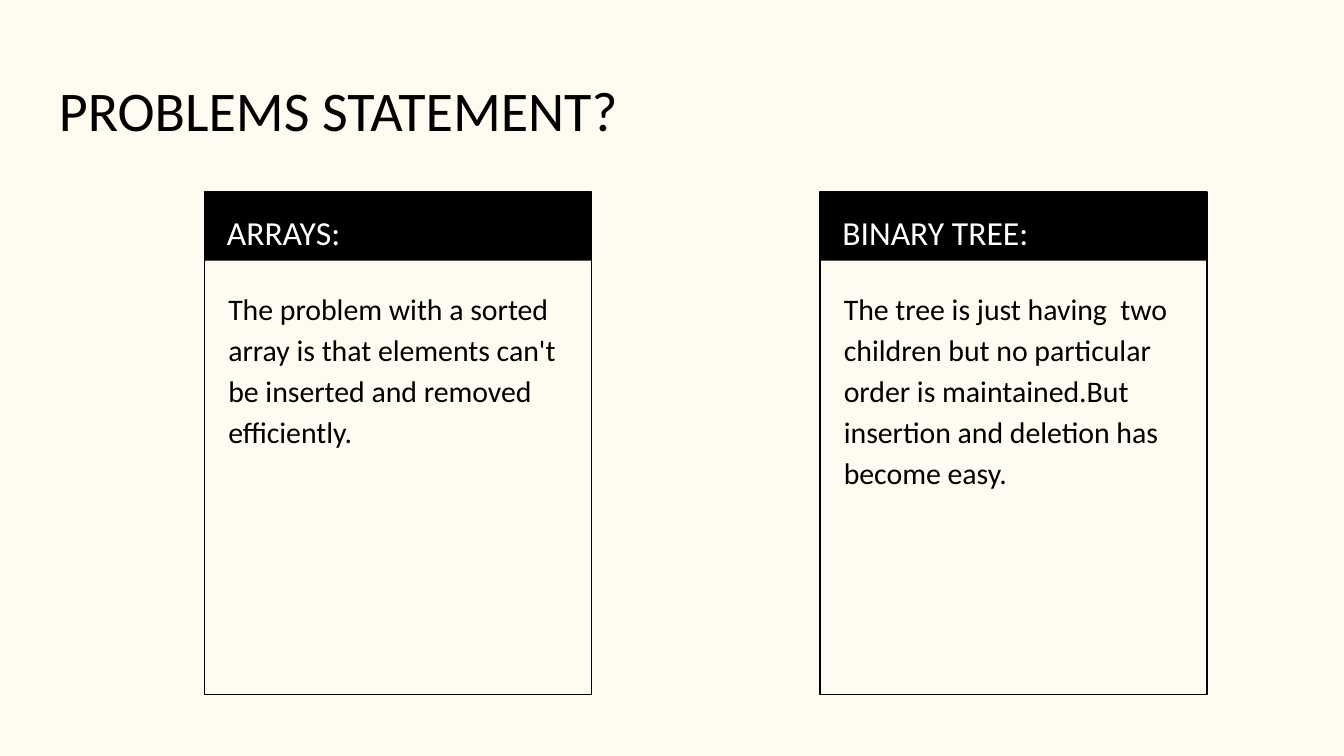
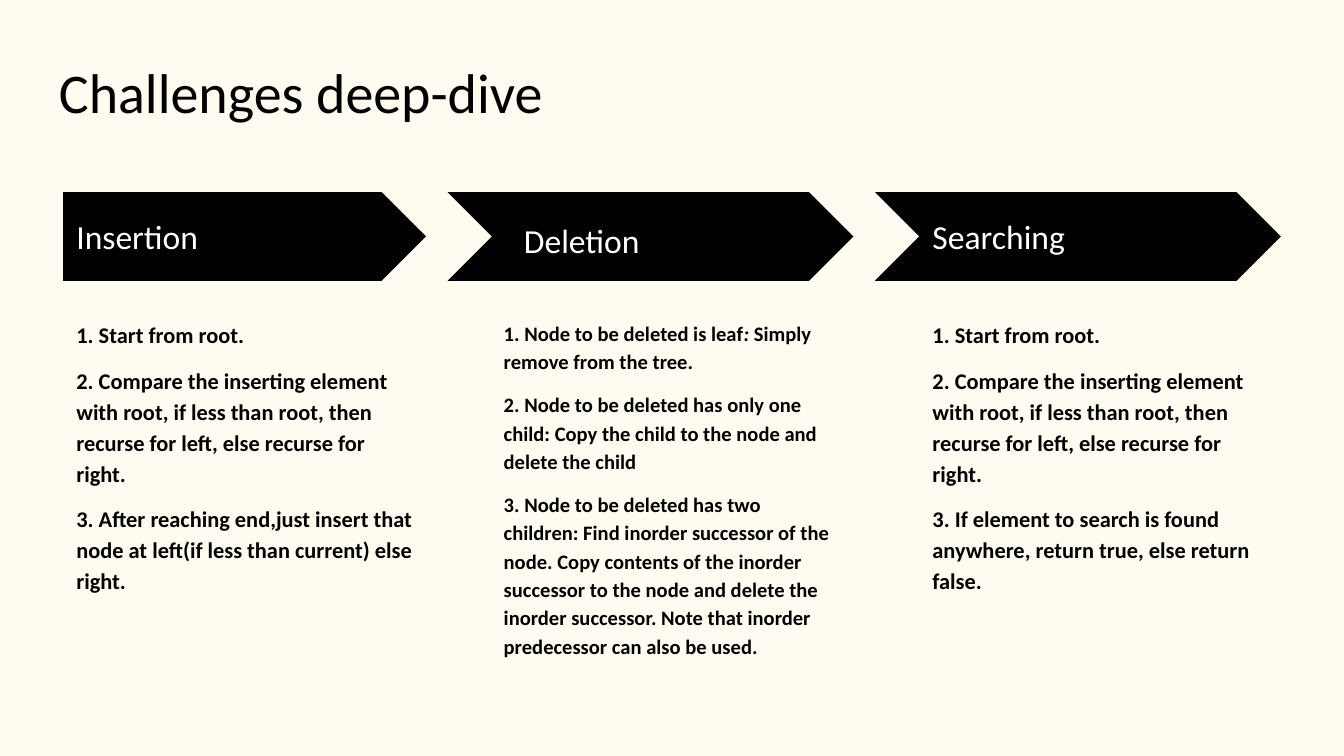
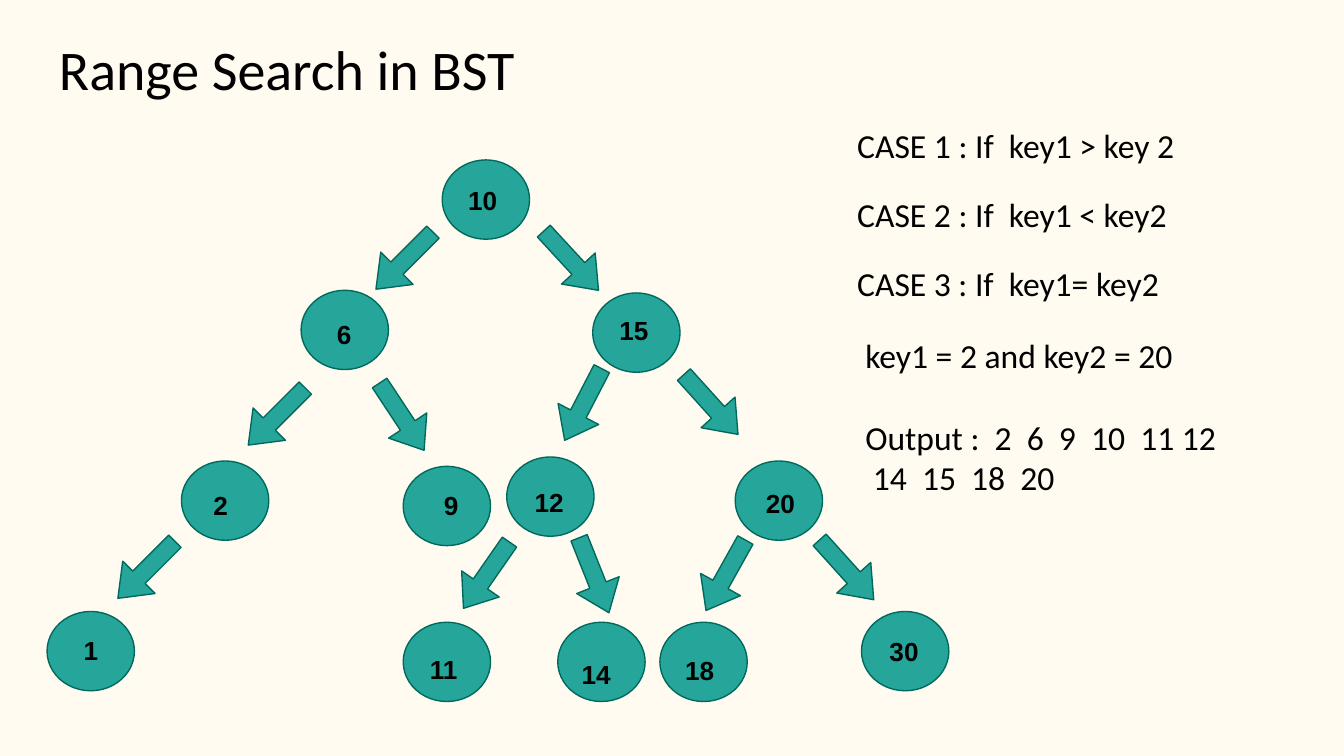
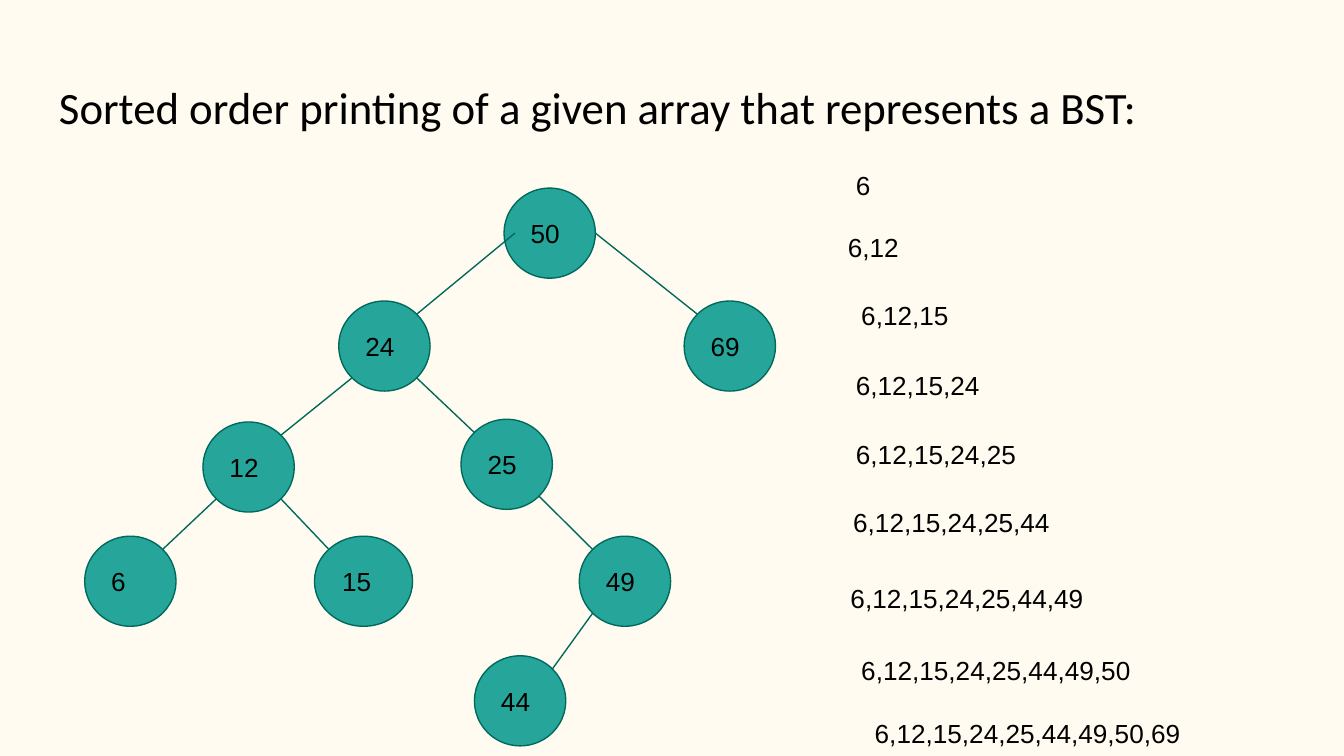
from pptx import Presentation
from pptx.dml.color import RGBColor
from pptx.enum.shapes import MSO_CONNECTOR as Connector, MSO_SHAPE as Preset
from pptx.enum.text import MSO_ANCHOR as Anchor, PP_ALIGN as Align
from pptx.oxml.ns import qn
from pptx.util import Inches, Pt
from lxml.etree import SubElement

SLIDE_WIDTH = Inches(10)
SLIDE_HEIGHT = SLIDE_WIDTH * 9 // 16

CREAM = RGBColor(0xFF, 0xFB, 0xF0)
BLACK = RGBColor(0x00, 0x00, 0x00)
WHITE = RGBColor(0xFF, 0xFF, 0xFF)
TEAL = RGBColor(0x26, 0xA6, 0x9A)
DARK_TEAL = RGBColor(0x00, 0x69, 0x5C)

LABEL = {"name": "Calibri", "size": Pt(18)}
CARD_BODY = {"name": "Calibri", "size": Pt(16)}
NUMBER = {"name": "Arial", "size": Pt(14)}
BOLD_NUMBER = {**NUMBER, "bold": True}
RELAXED = {"line_spacing": 1.15}
CENTERED = {"alignment": Align.CENTER}


def set_attributes(target, values):
    for name, value in values.items():
        setattr(target, name, value)


def write_text(frame, paragraphs, font, color=BLACK, spacing=None, anchor=Anchor.TOP):
    set_attributes(frame, {"word_wrap": True, "vertical_anchor": anchor})
    for side in ("left", "top", "right", "bottom"):
        setattr(frame, f"margin_{side}", Inches(0.1))
    for index, content in enumerate(paragraphs):
        paragraph = frame.add_paragraph() if index else frame.paragraphs[0]
        set_attributes(paragraph, {"alignment": Align.LEFT, **(spacing or {})})
        if index and spacing:
            paragraph.space_before = Pt(8)
        pieces = [(content, {})] if isinstance(content, str) else content
        for words, extra in pieces:
            for line_number, line in enumerate(words.split("\v")):
                if line_number:
                    paragraph.add_line_break()
                run = paragraph.add_run()
                run.text = line
                set_attributes(run.font, {**font, **extra})
                run.font.color.rgb = color


def add_text(slide, box, paragraphs, font, **options):
    text_box = slide.shapes.add_textbox(*map(Inches, box))
    write_text(text_box.text_frame, paragraphs, font, **options)


def add_shape(shapes, preset, box, fill=None, line=None):
    shape = shapes.add_shape(preset, *map(Inches, box))
    shape.shadow.inherit = False
    if fill is None:
        shape.fill.background()
    else:
        shape.fill.solid()
        shape.fill.fore_color.rgb = fill
    if line is None:
        shape.line.fill.background()
    else:
        shape.line.color.rgb = line
        shape.line.width = Pt(0.75)
    return shape


def add_titled_slide(presentation, title, top, size=30):
    slide = presentation.slides.add_slide(presentation.slide_layouts[6])
    add_text(slide, (0.34, top, 9.32, 0.67), [title], {"name": "Calibri", "size": Pt(size)})
    return slide


def add_card(slide, left, top, heading, body):
    width, height = 2.88, 3.74
    card = slide.shapes.add_group_shape()
    add_shape(card.shapes, Preset.RECTANGLE, (left, top, width, height), line=BLACK)
    add_shape(card.shapes, Preset.RECTANGLE, (left, top, width, 0.51), fill=BLACK)
    add_text(slide, (left + 0.07, top, 2.73, 0.5), [heading], LABEL, color=WHITE, spacing=RELAXED)
    add_text(slide, (left + 0.08, top + 0.59, 2.71, 3.06), [body], CARD_BODY,
             spacing={**RELAXED, "space_after": Pt(16)})


def build_problems(presentation):
    slide = add_titled_slide(presentation, "PROBLEMS STATEMENT?", 0.46)
    add_card(slide, 1.52, 1.43, "ARRAYS:",
             "The problem with a sorted array is that elements can't be inserted "
             "and removed efficiently.")
    add_card(slide, 6.1, 1.43, "BINARY TREE:",
             "The tree is just having  two children but no particular order is "
             "maintained.But insertion and deletion has become easy.")


def add_step(slide, preset, arrow_left, text_left, steps, size):
    top, text_width = 1.43, 2.7
    arrow_width = text_width if preset == Preset.PENTAGON else 3.02
    add_shape(slide.shapes, preset, (arrow_left, top, arrow_width, 0.66), fill=BLACK)
    add_text(slide, (text_left, top + 0.83, text_width, 2.9), steps,
             {"name": "Calibri", "size": Pt(size), "bold": True}, spacing=RELAXED)


def build_challenges(presentation):
    slide = add_titled_slide(presentation, "Challenges deep-dive", 0.33)
    start = "1. Start from root."
    compare = ("2. Compare the inserting element with root, if less than root, then "
               "recurse for left, else recurse for right.")
    insertion = [start, compare, "3. After reaching end,just insert that node at left"
                 "(if less than current) else right."]
    deletion = [
        [("1. Node to be deleted is leaf", {}), (":", {"italic": True}),
         (" Simply remove from the tree.", {})],
        "2. Node to be deleted has only one child: Copy the child to the node and "
        "delete the child",
        "3. Node to be deleted has two children: Find inorder successor of the node. "
        "Copy contents of the inorder successor to the node and delete the inorder "
        "successor. Note that inorder predecessor can also be used.",
    ]
    searching = [start, compare, "3. If element to search is found anywhere, return true, "
                 "else return false."]
    add_step(slide, Preset.PENTAGON, 0.47, 0.47, insertion, 12)
    add_step(slide, Preset.CHEVRON, 3.33, 3.65, deletion, 11)
    add_step(slide, Preset.CHEVRON, 6.51, 6.84, searching, 12)
    for left, top, width, heading, anchor in (
        (0.47, 1.59, 2.47, "Insertion", Anchor.MIDDLE),
        (6.84, 1.59, 2.47, "Searching", Anchor.MIDDLE),
        (3.8, 1.54, 2.08, "Deletion", Anchor.TOP),
    ):
        add_text(slide, (left, top, width, 0.34), [heading], LABEL, color=WHITE, anchor=anchor)


def add_node(slide, box, number=None, font=NUMBER):
    node = add_shape(slide.shapes, Preset.OVAL, box, TEAL, DARK_TEAL)
    if number:
        write_text(node.text_frame, [number], font, anchor=Anchor.MIDDLE)


def add_block_arrow(slide, left, top, rotation):
    arrow = add_shape(slide.shapes, Preset.LEFT_ARROW, (left, top, 0.6, 0.34), TEAL, DARK_TEAL)
    arrow.rotation = rotation
    arrow.adjustments[0] = 0.38
    arrow.adjustments[1] = 0.65


def add_range_tree(slide):
    node_size = (0.65, 0.59)
    add_node(slide, (3.29, 1.19, *node_size), "10", BOLD_NUMBER)
    for position in (
        (2.24, 2.16), (4.41, 2.18), (1.35, 3.43), (0.35, 4.55), (3, 3.47), (3.77, 3.4),
        (6.41, 4.55), (4.91, 4.63), (4.15, 4.63), (3, 4.63), (5.47, 3.43),
    ):
        add_node(slide, (*position, *node_size))
    for left, top, rotation in (
        (2.71, 1.77, 315), (3.95, 1.77, 227.3), (1.76, 2.93, 315), (2.69, 2.93, 236.6),
        (4.04, 2.84, 297.4), (4.99, 2.84, 227.9), (0.79, 4.07, 315), (3.32, 4.11, 304.8),
        (4.12, 4.11, 248.3), (5.1, 4.11, 299.2), (6, 4.07, 227.9),
    ):
        add_block_arrow(slide, left, top, rotation)
    for number, box, spacing in (
        ("6", (2.27, 2.27, 0.58, 0.4), CENTERED),
        ("15", (4.51, 2.24, 0.44, 0.44), None),
        ("2", (1.49, 3.54, 0.37, 0.4), None),
        (" 1", (0.47, 4.62, 0.44, 0.4), None),
        (" 9", (3.06, 3.54, 0.54, 0.44), CENTERED),
        ("20", (5.6, 3.53, 0.44, 0.44), None),
        ("30", (6.52, 4.63, 0.44, 0.51), None),
        ("12", (3.88, 3.52, 0.54, 0.4), None),
        ("11", (3.1, 4.76, 0.44, 0.26), None),
        ("14", (4.23, 4.8, 0.54, 0.4), None),
        ("18", (5, 4.77, 0.44, 0.4), None),
    ):
        add_text(slide, box, [number], BOLD_NUMBER, spacing=spacing)


def build_range_search(presentation):
    slide = add_titled_slide(presentation, "Range Search in BST", 0.16)
    add_range_tree(slide)
    for words, box in (
        ("CASE 1 : If  key1 > key 2", (6.28, 0.83, 3.21, 0.51)),
        ("CASE 2 : If  key1 < key2", (6.28, 1.34, 3.21, 0.51)),
        ("CASE 3 : If  key1= key2", (6.28, 1.86, 3.1, 0.44)),
        ("key1 = 2 and key2 = 20", (6.34, 2.39, 3.1, 0.51)),
        ("Output :  2  6  9  10  11 12\v 14  15  18  20", (6.34, 3, 3.32, 0.9)),
    ):
        add_text(slide, box, [words], LABEL)


def add_branch(slide, start, end):
    branch = slide.shapes.add_connector(Connector.STRAIGHT, *map(Inches, (*start, *end)))
    branch.line.color.rgb = DARK_TEAL
    branch.line.width = Pt(0.75)
    SubElement(branch._element.spPr, qn("a:effectLst"))


def add_sorted_tree(slide):
    nodes = {
        "6": (0.63, 3.99, 0.68, 0.67), "12": (1.51, 3.14, 0.68, 0.67),
        "25": (3.43, 3.12, 0.68, 0.67), "49": (4.31, 3.99, 0.68, 0.67),
        "44": (3.53, 4.88, 0.68, 0.67), "69": (5.09, 2.24, 0.68, 0.67),
        "50": (3.75, 1.4, 0.68, 0.67), "24": (2.52, 2.24, 0.68, 0.67),
        "15": (2.34, 3.99, 0.73, 0.67),
    }
    near, far = 0.15, 0.85
    top_left, top_right = (near, near), (far, near)
    bottom_left, bottom_right = (near, far), (far, far)

    def point_on(number, fraction):
        left, top, width, height = nodes[number]
        return left + width * fraction[0], top + height * fraction[1]

    for number, box in nodes.items():
        add_node(slide, box, number)
    for parent, leaving, child, arriving in (
        ("12", bottom_left, "6", top_right),
        ("24", bottom_left, "12", top_right),
        ("50", (1, 0.5), "69", top_left),
        ("50", (0.12, 0.5), "24", top_right),
        ("24", bottom_right, "25", top_left),
        ("25", bottom_right, "49", top_left),
        ("49", bottom_left, "44", top_right),
        ("12", bottom_right, "15", top_left),
    ):
        add_branch(slide, point_on(parent, leaving), point_on(child, arriving))


def build_sorted_order(presentation):
    slide = add_titled_slide(
        presentation, "Sorted order printing of a given array that represents a BST:", 0.49, 24)
    add_sorted_tree(slide)
    visited = ["6", "12", "15", "24", "25", "44", "49", "50", "69"]
    boxes = (
        (6.27, 1.16, 2.8, 0.4), (6.21, 1.62, 2.64, 0.38), (6.31, 2.13, 2.73, 0.38),
        (6.27, 2.65, 2.44, 0.38), (6.27, 3.16, 2.52, 0.38), (6.25, 3.67, 2.56, 0.4),
        (6.23, 4.23, 2.44, 0.38), (6.31, 4.77, 2.44, 0.38), (6.41, 5.24, 2.52, 0.38),
    )
    for count, box in enumerate(boxes, start=1):
        add_text(slide, box, [",".join(visited[:count])], NUMBER)


def main():
    presentation = Presentation()
    set_attributes(presentation, {"slide_width": SLIDE_WIDTH, "slide_height": SLIDE_HEIGHT})
    background = presentation.slide_master.background.fill
    background.solid()
    background.fore_color.rgb = CREAM
    for build in (build_problems, build_challenges, build_range_search, build_sorted_order):
        build(presentation)
    presentation.save("out.pptx")


if __name__ == "__main__":
    main()
